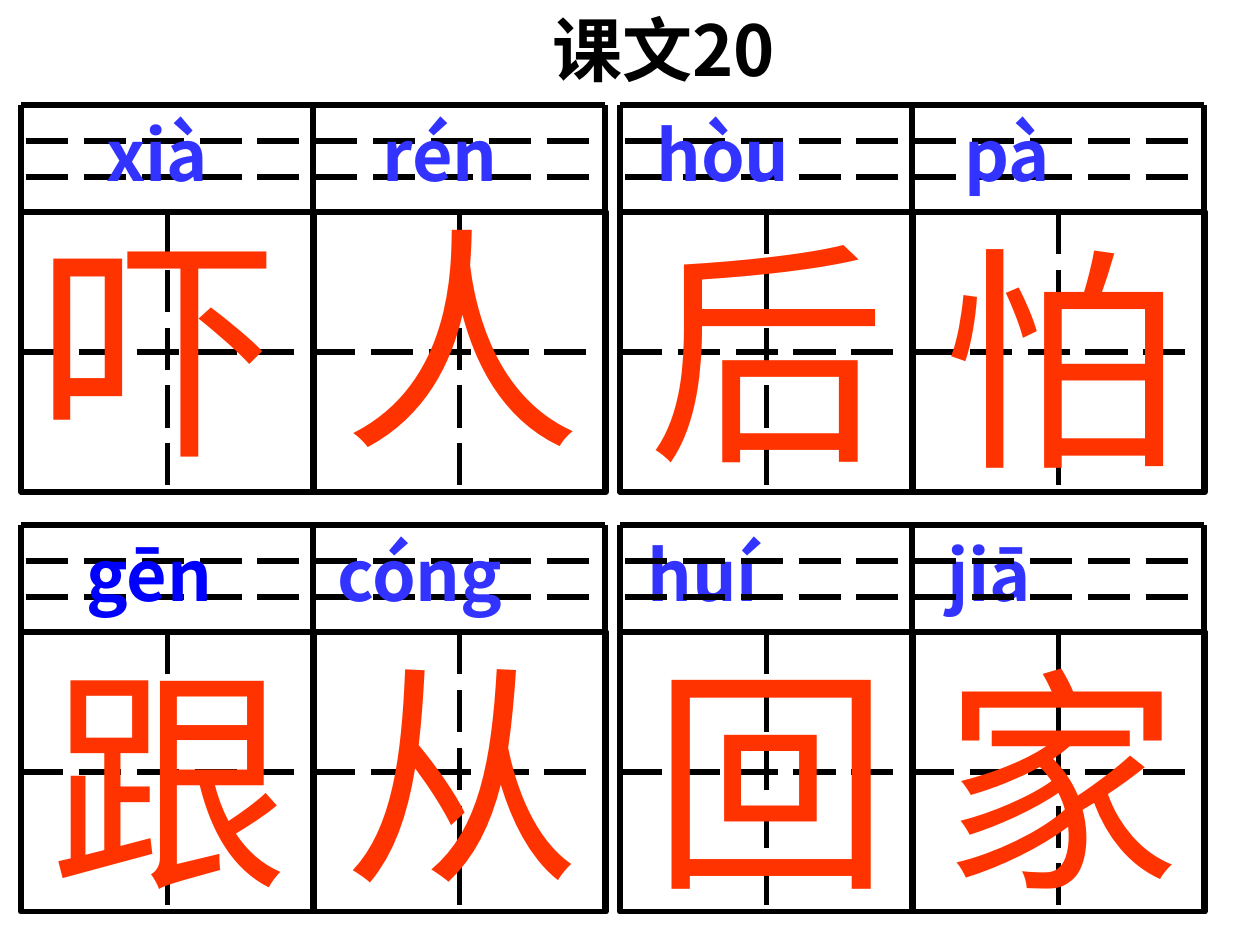
from lxml import etree
from pptx import Presentation
from pptx.dml.color import RGBColor
from pptx.enum.dml import MSO_LINE
from pptx.enum.shapes import MSO_CONNECTOR, MSO_SHAPE
from pptx.enum.text import MSO_ANCHOR, MSO_AUTO_SIZE, PP_ALIGN
from pptx.oxml.ns import qn
from pptx.util import Pt

STRAIGHT, RECT = MSO_CONNECTOR.STRAIGHT, MSO_SHAPE.RECTANGLE
LONG_DASH = MSO_LINE.LONG_DASH
TOP, LEFT, GROW = MSO_ANCHOR.TOP, PP_ALIGN.LEFT, MSO_AUTO_SIZE.SHAPE_TO_FIT_TEXT

SCALE = 914400 / 126  # EMU per px
COLORS = {"ink": "000000", "pinyin": "3333FF", "pinyin_dark": "0000FF", "hanzi": "FF3300"}
NOTO, ARIAL = "Noto Sans CJK SC", "Arial"
FRAME = {"word_wrap": True, "auto_size": GROW, "vertical_anchor": TOP}

CELL_W, CELL_H = 292, 280   # character cells
BAND_H, GUIDE_GAP = 107, 36  # pinyin band and its guide lines


def add_line(shapes, x1, y1, x2, y2, dash=None):
    ends = [round(v * SCALE) for v in (x1, y1, x2, y2)]
    line = shapes.add_connector(STRAIGHT, *ends)
    line.line.width = Pt(3)
    line.line.color.rgb = RGBColor.from_string(COLORS["ink"])
    if dash:
        line.line.dash_style = dash
    etree.SubElement(line._element.spPr, qn("a:effectLst"))
    return line


def write(sp, box, runs, size, font, bold=False, tabs=()):
    """Place a text shape and fill its only paragraph with (text, colour) runs."""
    sp.left, sp.top, sp.width, sp.height = (round(v * SCALE) for v in box)
    tf = sp.text_frame
    for name, value in FRAME.items():
        setattr(tf, name, value)
    p = tf.paragraphs[0]
    p.alignment = LEFT
    if tabs:
        tab_list = etree.SubElement(p._p.get_or_add_pPr(), qn("a:tabLst"))
        for pos in tabs:
            etree.SubElement(tab_list, qn("a:tab"), pos=str(round(pos * SCALE)), algn="l")
    for text, color in runs:
        r = p.add_run()
        r.text = text
        for name, value in {"size": Pt(size), "name": font, "bold": bold}.items():
            setattr(r.font, name, value)
        r.font.color.rgb = RGBColor.from_string(COLORS[color])
        etree.SubElement(r._r.rPr, qn("a:ea"), typeface=NOTO)


prs = Presentation()
prs.slide_width, prs.slide_height = round(1260 * SCALE), round(945 * SCALE)
s = prs.slides.add_slide(prs.slide_layouts[5])
write(s.shapes.title, (540, 0, 318, 97), [("课文20", "ink")], 40, NOTO, True)

# Each row: top, pinyin box, pinyin runs, tab stops, characters (text, x, y, font)
rows = [
    (105, (0, 105, 1255, 97), [("\txià\trén\thòu\tpà", "pinyin")], (94, 370, 644, 952),
     [("吓", 28, 195, NOTO), ("人", 331, 185, NOTO),
      ("后", 636, 199, ARIAL), ("怕", 930, 205, ARIAL)]),
    (525, (-21, 525, 1207, 97), [("\tgēn", "pinyin_dark"), ("\tcóng\thuí\tjiā", "pinyin")],
     (95, 346, 656, 956),
     [("跟", 38, 626, ARIAL), ("从", 331, 620, ARIAL),
      ("回", 640, 626, ARIAL), ("家", 930, 626, ARIAL)]),
]

for y, pinyin_box, pinyin, tabs, characters in rows:
    for x in (21, 620):
        grid = s.shapes.add_group_shape().shapes
        right, cell_y, bottom = x + 2 * CELL_W, y + BAND_H, y + BAND_H + CELL_H
        for cell_x in (x, x + CELL_W):
            box = [round(v * SCALE) for v in (cell_x, cell_y, CELL_W + 1, CELL_H)]
            cell = grid.add_shape(RECT, *box)
            cell.shadow.inherit = False
            cell.fill.background()
            cell.line.width = Pt(3)
            cell.line.color.rgb = RGBColor.from_string(COLORS["ink"])
            mid_x, mid_y = cell_x + CELL_W / 2, cell_y + CELL_H / 2
            upright = add_line(grid, mid_x, cell_y, mid_x, bottom, LONG_DASH)
            upright.begin_connect(cell, 0)
            upright.end_connect(cell, 2)
            level = add_line(grid, cell_x, mid_y, cell_x + CELL_W - 5, mid_y, LONG_DASH)
            level.begin_connect(cell, 1)
        add_line(grid, x, y, right, y)
        for i in (1, 2):
            guide_y = y + i * GUIDE_GAP
            add_line(grid, x + 5, guide_y, right, guide_y, LONG_DASH)
        for i in range(3):
            add_line(grid, x + i * CELL_W, y, x + i * CELL_W, bottom)
        if (x, y) == (21, 525):  # the last grid lies over this row's pinyin
            write(s.shapes.add_textbox(0, 0, 0, 0), pinyin_box, pinyin, 40, NOTO, True, tabs)
    if y == 105:
        write(s.shapes.add_textbox(0, 0, 0, 0), pinyin_box, pinyin, 40, NOTO, True, tabs)
    for text, left, top, font in characters:
        write(s.shapes.add_textbox(0, 0, 0, 0), (left, top, 288, 299),
              [(text, "hanzi")], 136, font)

prs.save("out.pptx")
